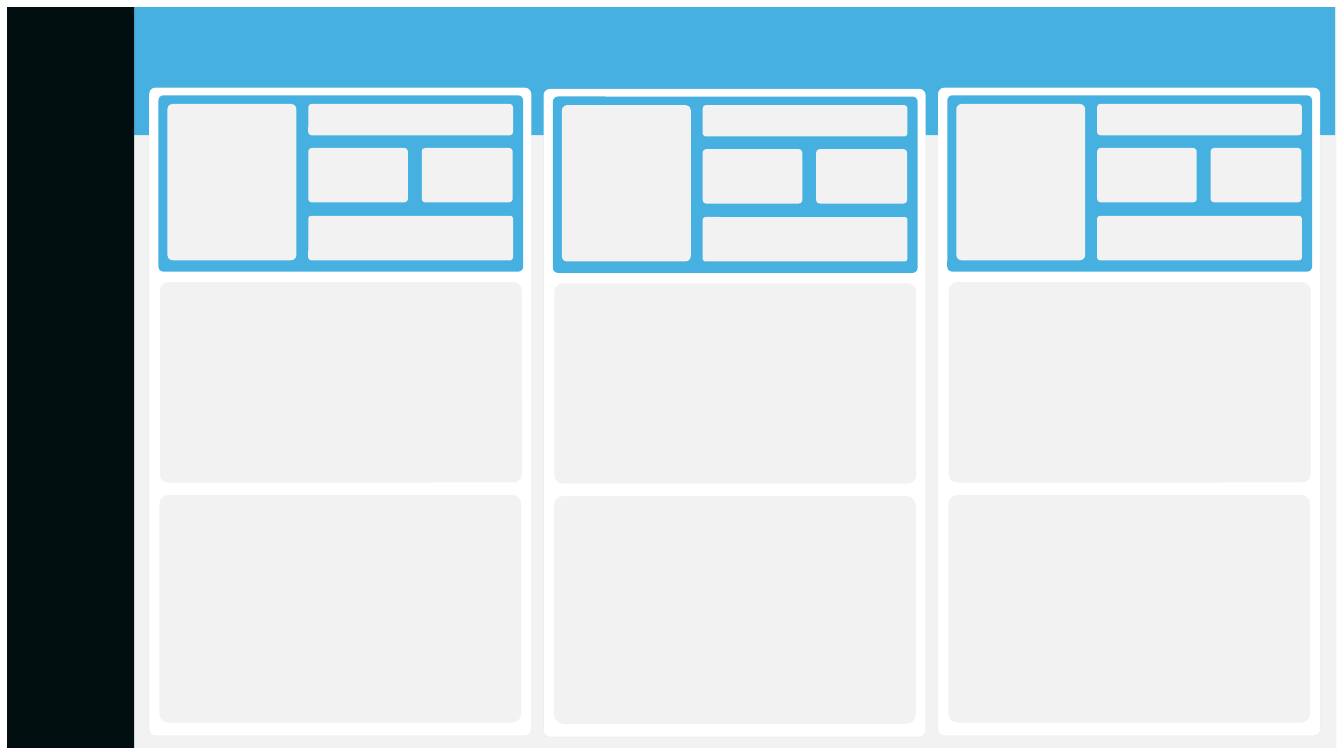
from lxml import etree
from pptx import Presentation
from pptx import util as u
from pptx.dml.color import RGBColor
from pptx.enum import shapes
from pptx.oxml.ns import qn

HUES = {"gray": "F2F2F2", "blue": "46B1E1", "dark": "010F10",
        "white": "FFFFFF", "edge": "6096B4"}
LEFT, STEP = 3.76, 9.94
TOPS = (2.21, 2.24, 2.21)
PANELS = (
    (0.27, 4.9, 9.12, 5.05, 0.041),
    (0.26, 10.26, 9.12, 5.74, 0.041),
)
HEADER = (0.26, 0.22, 9.14, 4.39, 0.023)
FIELDS = (
    (0.46, 0.41, 3.25, 3.94, 0.041),
    (4.01, 0.41, 5.16, 0.79, 0.107),
    (4.01, 1.52, 2.51, 1.37, 0.065),
    (6.87, 1.52, 2.29, 1.37, 0.065),
    (4.01, 3.23, 5.16, 1.12, 0.066),
)


def box(slide, x, y, w, h, round=None, fill="gray", line=None, width=1.5, alpha=None):
    """Add a plain or rounded box, with sizes in centimetres."""
    kind = shapes.MSO_SHAPE.RECTANGLE if round is None else shapes.MSO_SHAPE.ROUNDED_RECTANGLE
    shape = slide.shapes.add_shape(kind, u.Cm(x), u.Cm(y), u.Cm(w), u.Cm(h))
    shape.shadow.inherit = False
    if round is not None:
        shape.adjustments[0] = round
    shape.fill.solid()
    shape.fill.fore_color.rgb = RGBColor.from_string(HUES[fill])
    if line is None:
        shape.line.fill.background()
        return
    shape.line.color.rgb = RGBColor.from_string(HUES[line])
    shape.line.width = u.Pt(width)
    if alpha is not None:
        tint = shape.line.fill.fore_color and shape.element.spPr.find(
            f"{qn('a:ln')}/{qn('a:solidFill')}/{qn('a:srgbClr')}")
        etree.SubElement(tint, qn("a:alpha")).set("val", str(alpha * 1000))


def card(slide, x, y):
    """Add a white card with a blue header of fields and two panels."""
    def place(part, **style):
        """Add one part at its offset within the card."""
        dx, dy, w, h, round = part
        box(slide, x + dx, y + dy, w, h, round, **style)

    place((0, 0, 9.63, 16.33, 0.016), fill="white", line="edge", width=0.25, alpha=10)
    for panel in PANELS:
        place(panel)
    place(HEADER, fill="blue", line="blue")
    for field in FIELDS:
        place(field)


def main():
    """Build the slide with its backdrop and three cards."""
    deck = Presentation()
    deck.slide_width, deck.slide_height = u.Cm(33.87), u.Cm(19.05)
    slide = deck.slides.add_slide(deck.slide_layouts[6])
    box(slide, 0.2, 0.18, 33.48, 18.67)
    box(slide, 0.2, 0.18, 33.45, 3.23, fill="blue")
    box(slide, 0.18, 0.18, 3.2, 18.67, fill="dark")
    for i, top in enumerate(TOPS):
        card(slide, LEFT + i * STEP, top)
    deck.save("out.pptx")


if __name__ == "__main__":
    main()
